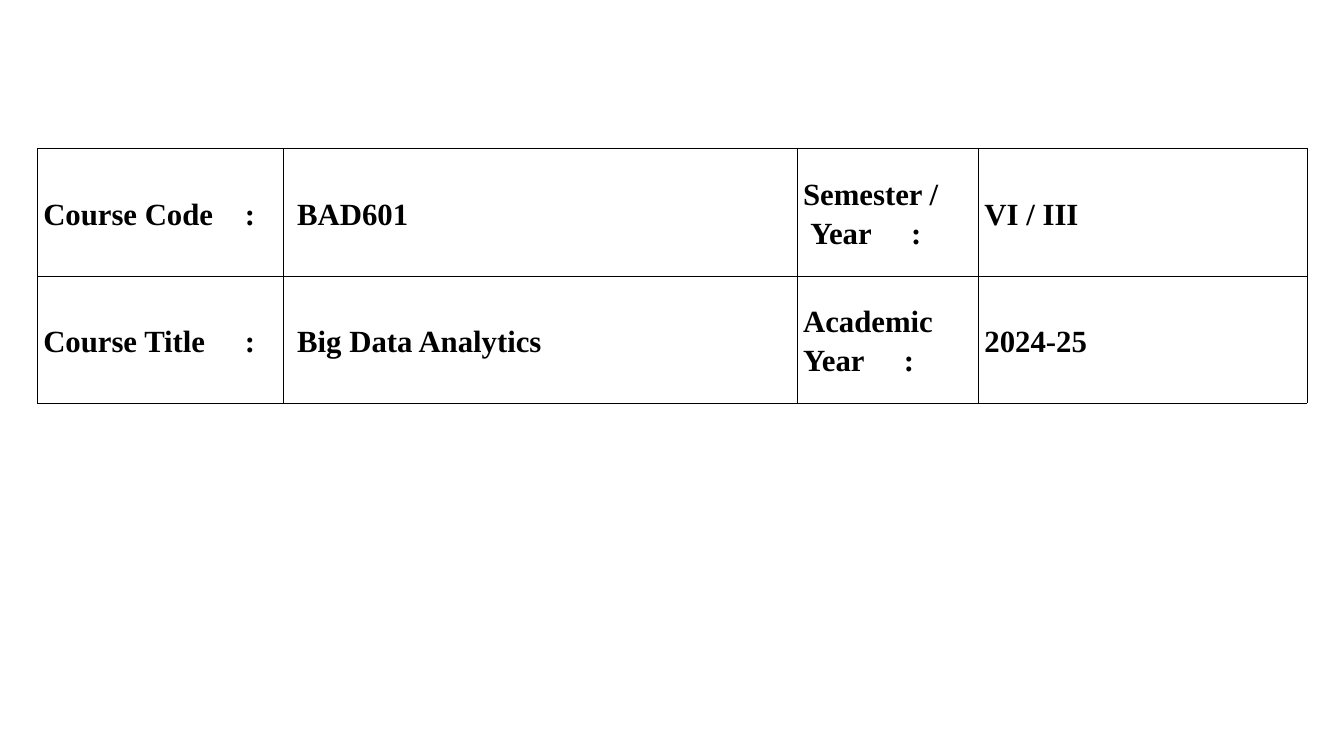
from dataclasses import dataclass

from lxml import etree
from pptx import Presentation
from pptx.dml.color import RGBColor
from pptx.enum.text import MSO_ANCHOR
from pptx.oxml.ns import qn
from pptx.util import Cm, Pt

MIDDLE = MSO_ANCHOR.MIDDLE
BLANK = 6


@dataclass(frozen=True)
class Theme:
    font: str = "Times New Roman"
    size: float = 22
    ink: str = "000000"
    paper: str = "FFFFFF"
    rule: float = 0.45
    lead: float = 1.15


THEME = Theme()
WIDTHS = (6.2, 12.95, 4.57, 8.28)
ROWS = (
    (
        [("Course Code\t:", {"tab": 4.67})],
        [("BAD601", {"indent": 0.2})],
        [("Semester /", {}), ("Year\t:", {"indent": 0.18, "tab": 2})],
        [("VI / III", {})],
    ),
    (
        [("Course Title\t:", {"tab": 4.67})],
        [("Big Data Analytics", {"indent": 0.2})],
        [("Academic Year\t:", {"tab": 3.28})],
        [("2024-25", {})],
    ),
)


def write(para, text, indent=0, tab=None, bold=True):
    para.line_spacing = THEME.lead
    props = para._p.get_or_add_pPr()
    props.set("marL", str(Cm(indent)))
    props.set("indent", "0")
    if tab:
        stops = etree.SubElement(props, qn("a:tabLst"))
        etree.SubElement(stops, qn("a:tab"), pos=str(Cm(tab)), algn="l")
    run = para.add_run()
    run.text = text
    run.font.name = THEME.font
    run.font.size = Pt(THEME.size)
    run.font.bold = bold
    run.font.color.rgb = RGBColor.from_string(THEME.ink)


def frame(cell):
    props = cell._tc.get_or_add_tcPr()
    for place, side in enumerate(("lnL", "lnR", "lnT", "lnB")):
        line = etree.Element(qn("a:" + side), w=str(Pt(THEME.rule)))
        fill = etree.SubElement(line, qn("a:solidFill"))
        etree.SubElement(fill, qn("a:srgbClr"), val=THEME.ink)
        props.insert(place, line)


def fill_cell(cell, lines):
    cell.fill.solid()
    cell.fill.fore_color.rgb = RGBColor.from_string(THEME.paper)
    cell.vertical_anchor = MIDDLE
    cell.margin_left = cell.margin_right = Cm(0.15)
    cell.margin_top = cell.margin_bottom = Cm(0.13)
    frame(cell)
    body = cell.text_frame
    for place, (text, style) in enumerate(lines):
        para = body.add_paragraph() if place else body.paragraphs[0]
        write(para, text, **style)


def course_table(slide, left, top, width, height):
    shape = slide.shapes.add_table(
        len(ROWS), len(WIDTHS), Cm(left), Cm(top), Cm(width), Cm(height)
    )
    table = shape.table
    table.first_row = table.horz_banding = False
    for column, share in zip(table.columns, WIDTHS):
        column.width = Cm(width * share / sum(WIDTHS))
    for row, cells in zip(table.rows, ROWS):
        row.height = Cm(height / len(ROWS))
        for cell, lines in zip(row.cells, cells):
            fill_cell(cell, lines)


def main():
    deck = Presentation()
    deck.slide_width, deck.slide_height = Cm(33.87), Cm(19.05)
    slide = deck.slides.add_slide(deck.slide_layouts[BLANK])
    course_table(slide, left=0.94, top=3.74, width=32, height=6.42)
    deck.save("out.pptx")


if __name__ == "__main__":
    main()
